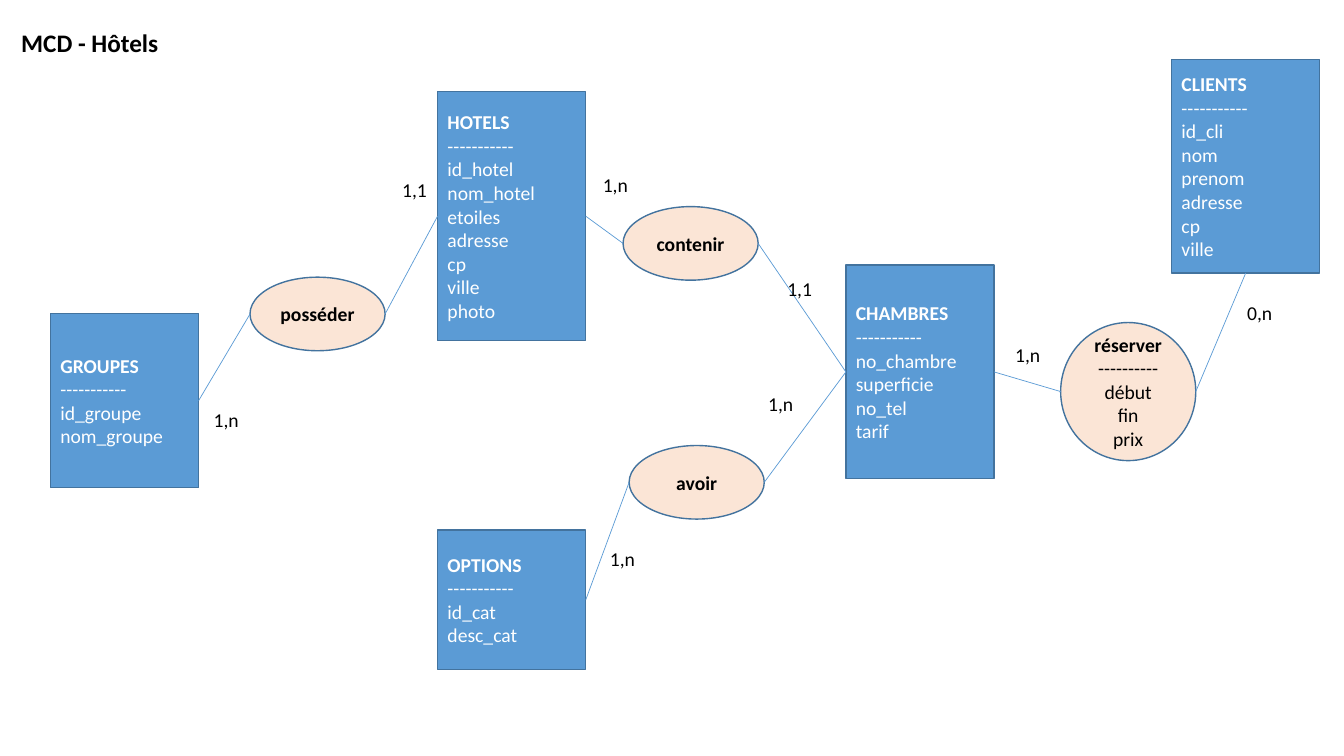
"""Build the conceptual data model slide of the hotels database."""
from dataclasses import dataclass

from lxml.etree import SubElement
from pptx import Presentation
from pptx.dml.color import RGBColor as RGB
from pptx.enum.shapes import MSO_CONNECTOR as CONN, MSO_SHAPE as SHAPE
from pptx.enum.text import MSO_ANCHOR as ANCHOR, MSO_AUTO_SIZE as FIT, PP_ALIGN as ALIGN
from pptx.oxml.ns import qn
from pptx.util import Inches, Pt

COLS, ROWS = 133.3, 75
ENTITY_W, LINK_W, LINK_H = 14.7, 13.4, 7.3
LABEL_W, LABEL_H = 4.5, 3.4
BOTTOM, RIGHT, LEFT = 2, 3, 1


@dataclass(frozen=True)
class Theme:
    font: str = "Calibri"
    title: int = 18
    body: int = 14
    dark: RGB = RGB(0, 0, 0)
    light: RGB = RGB(255, 255, 255)
    entity: RGB = RGB.from_string("5B9BD5")
    link: RGB = RGB.from_string("FBE5D6")
    border: RGB = RGB.from_string("43739E")
    border_w: float = 1
    wire_w: float = 0.5


class Diagram:
    def __init__(self, prs, theme):
        self.t = theme
        self.unit_x = prs.slide_width / COLS
        self.unit_y = prs.slide_height / ROWS
        self.s = prs.slides.add_slide(prs.slide_layouts[5])

    def box(self, col, row, cols, rows):
        return (round(col * self.unit_x), round(row * self.unit_y),
                round(cols * self.unit_x), round(rows * self.unit_y))

    def fill_text(self, tf, lines, size, color, align=ALIGN.LEFT, bold=True):
        for i, line in enumerate(lines):
            p = tf.paragraphs[0] if i == 0 else tf.add_paragraph()
            p.text, p.alignment = line, align
            f = p.font
            f.name, f.size, f.bold = self.t.font, Pt(size), bold and i == 0
            f.color.rgb = color

    def title(self, text, *cell):
        sp = self.s.shapes.title
        sp.left, sp.top, sp.width, sp.height = self.box(*cell)
        tf = sp.text_frame
        tf.word_wrap, tf.auto_size = False, FIT.SHAPE_TO_FIT_TEXT
        tf.vertical_anchor = ANCHOR.TOP
        self.fill_text(tf, [text], self.t.title, self.t.dark)

    def node(self, kind, cell, lines, fill, color, align):
        sp = self.s.shapes.add_shape(kind, *self.box(*cell))
        sp.shadow.inherit = False
        sp.fill.solid()
        sp.fill.fore_color.rgb = fill
        sp.line.color.rgb, sp.line.width = self.t.border, Pt(self.t.border_w)
        sp.text_frame.vertical_anchor = ANCHOR.MIDDLE
        self.fill_text(sp.text_frame, lines, self.t.body, color, align)
        return sp

    def entity(self, name, col, row, rows, fields):
        lines = [name, "-" * 11, *fields.split()]
        return self.node(SHAPE.RECTANGLE, (col, row, ENTITY_W, rows), lines,
                         self.t.entity, self.t.light, ALIGN.LEFT)

    def link(self, name, col, row, rows=LINK_H, fields=""):
        lines = [name, "-" * 10, *fields.split()] if fields else [name]
        return self.node(SHAPE.OVAL, (col, row, LINK_W, rows), lines,
                         self.t.link, self.t.dark, ALIGN.CENTER)

    def wire(self, entity, site, link, side):
        x = link.left + (link.width if side == RIGHT else 0)
        y = link.top + link.height // 2
        c = self.s.shapes.add_connector(CONN.STRAIGHT, x, y, x, y)
        c.begin_connect(entity, site)
        c.line.color.rgb, c.line.width = self.t.entity, Pt(self.t.wire_w)
        SubElement(c._element.spPr, qn("a:effectLst"))

    def label(self, text, col, row):
        sp = self.s.shapes.add_textbox(*self.box(col, row, LABEL_W, LABEL_H))
        tf = sp.text_frame
        tf.word_wrap, tf.auto_size = False, FIT.SHAPE_TO_FIT_TEXT
        self.fill_text(tf, [text], self.t.body, self.t.dark, bold=False)


ENTITIES = [
    ("GROUPES", 5, 31.1, 17.3, "id_groupe nom_groupe"),
    ("HOTELS", 43.4, 9.1, 24.7, "id_hotel nom_hotel etoiles adresse cp ville photo"),
    ("CHAMBRES", 83.9, 26.3, 21.2, "no_chambre superficie no_tel tarif"),
    ("OPTIONS", 43.4, 52.6, 13.8, "id_cat desc_cat"),
    ("CLIENTS", 116.2, 5.9, 21.2, "id_cli nom prenom adresse cp ville"),
]
LINKS = [
    ("posséder", 24.8, 27.5),
    ("contenir", 61.8, 20.5),
    ("avoir", 62.4, 44.2),
    ("réserver", 105.2, 32, 13.7, "début fin prix"),
]
WIRES = [
    ("GROUPES", RIGHT, "posséder", LEFT),
    ("HOTELS", LEFT, "posséder", RIGHT),
    ("HOTELS", RIGHT, "contenir", LEFT),
    ("CHAMBRES", LEFT, "contenir", RIGHT),
    ("CHAMBRES", LEFT, "avoir", RIGHT),
    ("OPTIONS", RIGHT, "avoir", LEFT),
    ("CHAMBRES", RIGHT, "réserver", LEFT),
    ("CLIENTS", BOTTOM, "réserver", RIGHT),
]
LABELS = [
    ("1,n", 20.2, 40), ("1,1", 38.9, 17.2), ("1,n", 58.8, 16.7), ("1,1", 77.1, 27),
    ("1,n", 75.2, 38.4), ("1,n", 59.5, 53.8), ("1,n", 99.7, 33.5), ("0,n", 122.7, 29.4),
]

prs = Presentation()
prs.slide_width, prs.slide_height = Inches(13.33), Inches(7.5)
d = Diagram(prs, Theme())
d.title("MCD - Hôtels", 1.1, 2.2, 15.8, 4)
nodes = {e[0]: d.entity(*e) for e in ENTITIES}
nodes.update({k[0]: d.link(*k) for k in LINKS})
for entity, site, link, side in WIRES:
    d.wire(nodes[entity], site, nodes[link], side)
for label in LABELS:
    d.label(*label)
prs.save("out.pptx")
